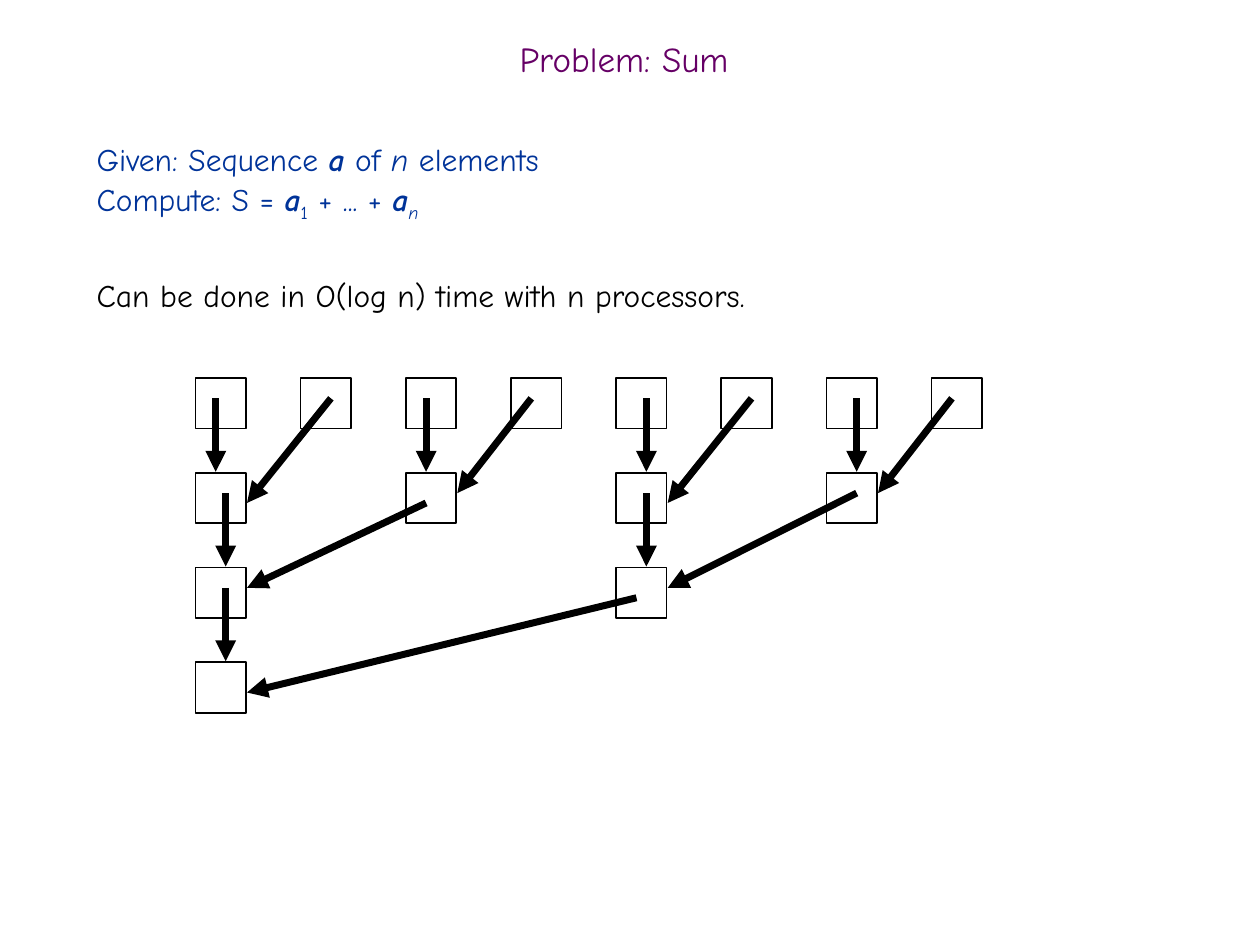
"""Build a slide showing a parallel sum as a binary reduction tree."""
from dataclasses import dataclass

import pptx
import pptx.dml.color
import pptx.enum.shapes
import pptx.enum.text
import pptx.oxml
import pptx.oxml.ns
import pptx.util
from pptx.util import Cm


@dataclass(frozen=True)
class Theme:
    font: str = "Comic Neue"
    title_color: str = "660066"
    given_color: str = "003399"
    ink: str = "000000"
    title_size: int = 20
    body_size: int = 18
    line_spacing: int = 26
    box_line: int = 1
    arrow_line: int = 4


THEME = Theme()
LEVELS = 4
LEAVES = 8
LEFT, TOP = 3.94, 7.62
COLUMN_PITCH, ROW_PITCH = 2.12, 1.91
SIDE = 1.02
NEAR, FAR = 0.41, 0.61
GAP = 0.02

# level, target column, drop x, start x, start y, end y
MERGES = [
    (0, 0, NEAR, FAR, NEAR, FAR),
    (0, 2, NEAR, NEAR, NEAR, NEAR),
    (0, 4, FAR, FAR, NEAR, FAR),
    (0, 6, FAR, NEAR, NEAR, NEAR),
    (1, 0, FAR, NEAR, FAR, NEAR),
    (1, 4, FAR, FAR, NEAR, NEAR),
    (2, 0, FAR, NEAR, FAR, FAR),
]

GIVEN = [("Given: Sequence ", ""), ("a", "bi"), (" of ", ""), ("n ", "i"), ("elements", "")]
COMPUTE = [("Compute: S = ", ""), ("a", "bi"), ("1", "s"), (" + ... + ", ""),
           ("a", "bi"), ("n", "is")]
CLAIM = [("Can be done in O(log n) time with n processors.", "")]


def rgb(value):
    return pptx.dml.color.RGBColor.from_string(value)


def add_text_box(page, left, top, width, height, anchor):
    box = page.shapes.add_textbox(Cm(left), Cm(top), Cm(width), Cm(height))
    box.text_frame.word_wrap = True
    box.text_frame.vertical_anchor = anchor
    return box.text_frame


def add_spans(para, spans, size, color):
    """Add runs whose style letters mean bold, italic and subscript."""
    for text, style in spans:
        span = para.add_run()
        span.text = text
        span.font.name = THEME.font
        span.font.size = pptx.util.Pt(size)
        span.font.color.rgb = rgb(color)
        span.font.bold = "b" in style
        span.font.italic = "i" in style
        if "s" in style:
            span.font._element.set("baseline", "-25000")


def add_title(page):
    frame = add_text_box(page, 0, 0.43, 25.4, 1.27, pptx.enum.text.MSO_ANCHOR.BOTTOM)
    para = frame.paragraphs[0]
    para.alignment = pptx.enum.text.PP_ALIGN.CENTER
    para.line_spacing = 0.7
    add_spans(para, [("Problem: Sum ", "")], THEME.title_size, THEME.title_color)


def add_body(page):
    frame = add_text_box(page, 1.7, 2.54, 21.8, 15.04, pptx.enum.text.MSO_ANCHOR.TOP)
    lines = [(GIVEN, THEME.given_color), (COMPUTE, THEME.given_color), (CLAIM, THEME.ink)]
    for index, (spans, color) in enumerate(lines):
        para = frame.add_paragraph() if index else frame.paragraphs[0]
        para.line_spacing = pptx.util.Pt(THEME.line_spacing)
        add_spans(para, spans, THEME.body_size, color)
    para.space_before = pptx.util.Pt(THEME.line_spacing)


def corner(level, column):
    return LEFT + column * COLUMN_PITCH, TOP + level * ROW_PITCH


def add_node(page, level, column):
    left, top = corner(level, column)
    node = page.shapes.add_shape(pptx.enum.shapes.MSO_SHAPE.RECTANGLE,
                                 Cm(left), Cm(top), Cm(SIDE), Cm(SIDE))
    node.shadow.inherit = False
    node.fill.background()
    node.line.color.rgb = rgb(THEME.ink)
    node.line.width = pptx.util.Pt(THEME.box_line)


def add_arrow(page, start, end):
    arrow = page.shapes.add_connector(pptx.enum.shapes.MSO_CONNECTOR.STRAIGHT,
                                      *map(Cm, start), *map(Cm, end))
    arrow.line.color.rgb = rgb(THEME.ink)
    arrow.line.width = pptx.util.Pt(THEME.arrow_line)
    qn = pptx.oxml.ns.qn
    head = arrow.line._get_or_add_ln().makeelement(qn("a:tailEnd"), {"type": "triangle"})
    arrow.line._get_or_add_ln().append(head)
    properties = arrow._element.spPr
    properties.append(properties.makeelement(qn("a:effectLst"), {}))


def add_merge(page, level, column, drop_x, start_x, start_y, end_y):
    """Draw the straight and the slanted arrow into one sum node."""
    left, top = corner(level, column)
    partner_left, _ = corner(level, column + 2 ** level)
    target_top = top + ROW_PITCH
    add_arrow(page, (left + drop_x, top + NEAR), (left + drop_x, target_top - GAP))
    add_arrow(page, (partner_left + start_x, top + start_y),
              (left + SIDE + GAP, target_top + end_y))


def main():
    deck = pptx.Presentation()
    deck.slide_width, deck.slide_height = Cm(25.4), Cm(19.05)
    page = deck.slides.add_slide(deck.slide_layouts[6])
    add_title(page)
    add_body(page)
    for level in range(LEVELS):
        for column in range(0, LEAVES, 2 ** level):
            add_node(page, level, column)
    for merge in MERGES:
        add_merge(page, *merge)
    deck.save("out.pptx")


if __name__ == "__main__":
    main()
